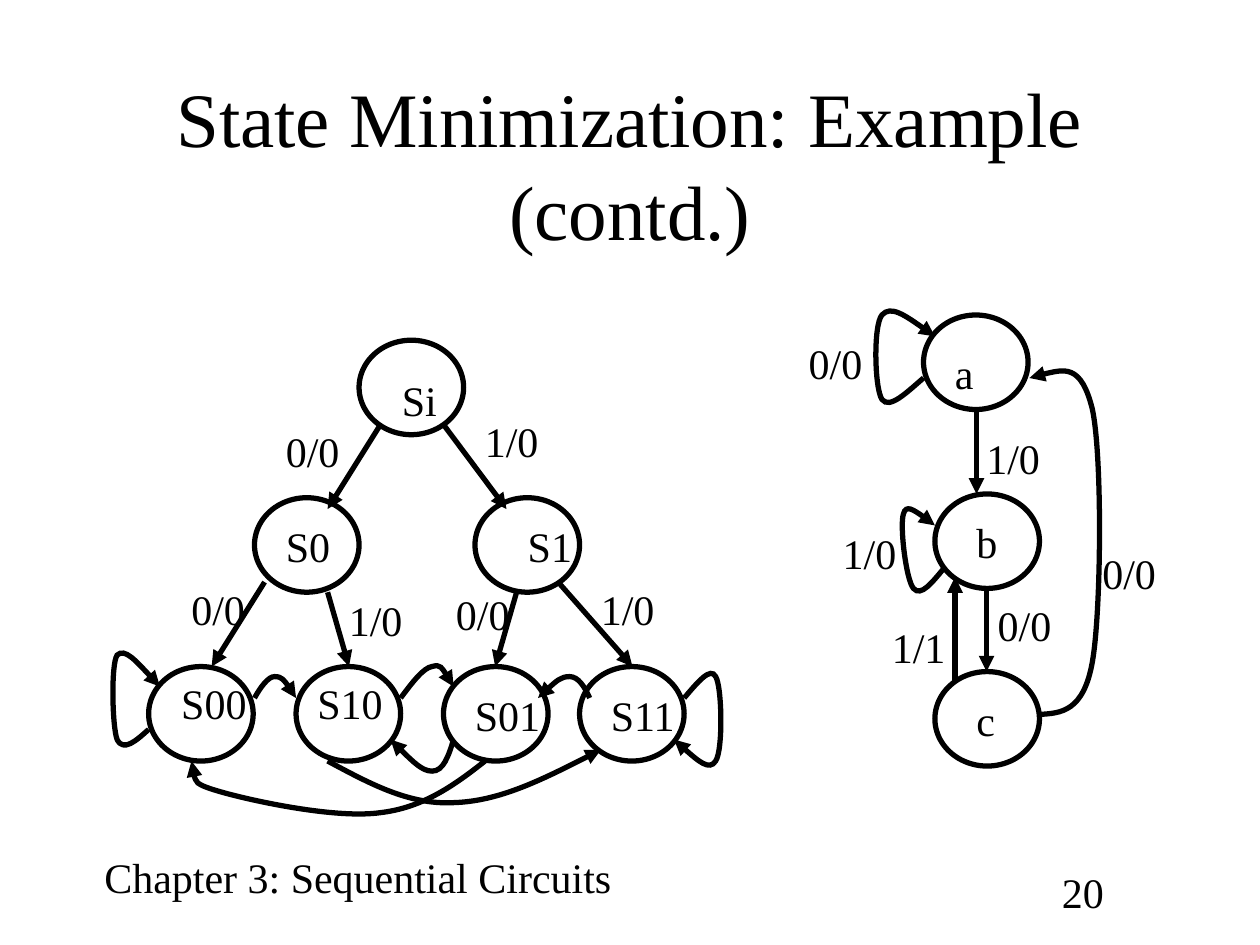
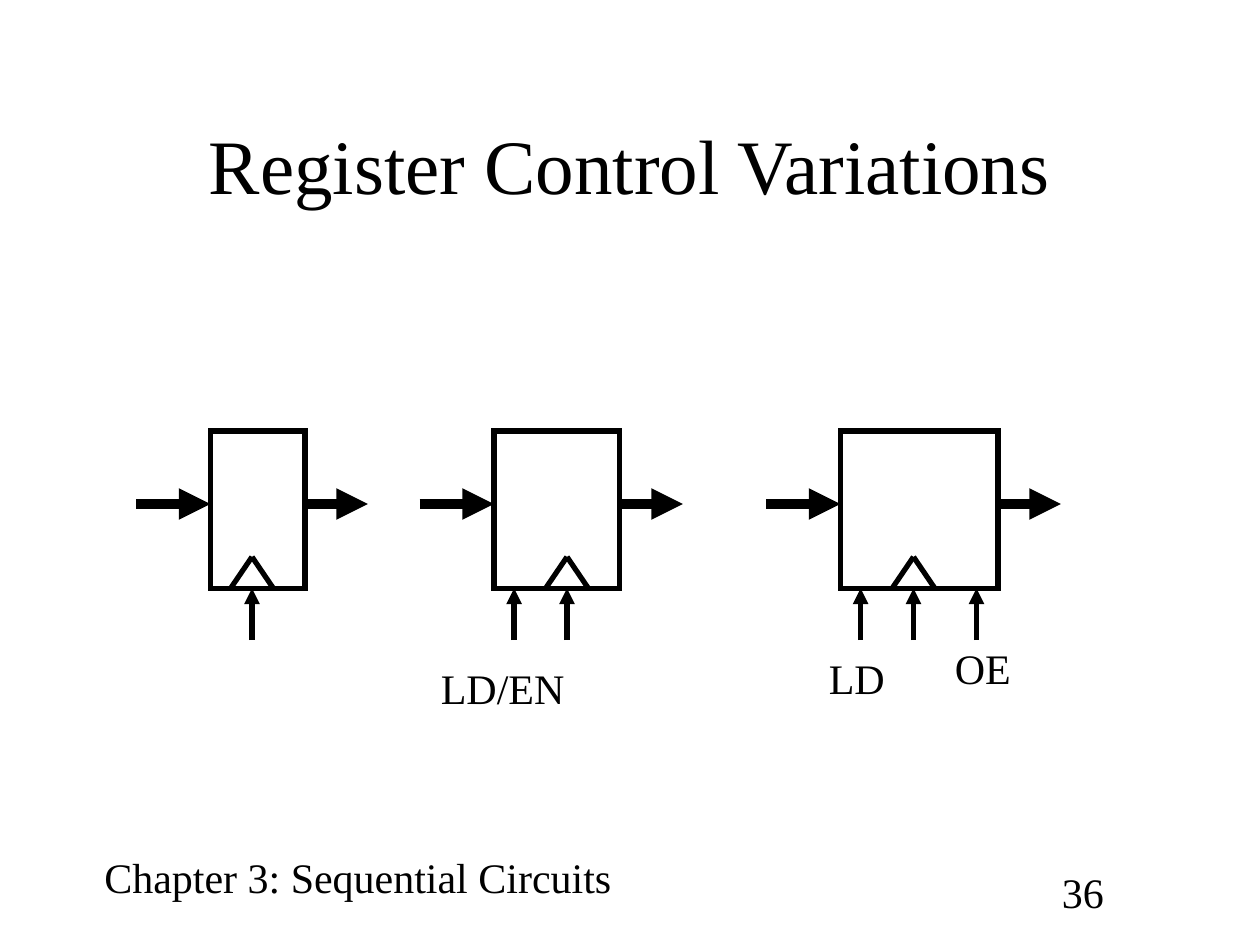
from dataclasses import dataclass
from lxml import etree
from pptx import Presentation
from pptx.dml.color import RGBColor
from pptx.enum import shapes, text
from pptx.oxml.ns import qn
from pptx.util import Pt

PX = 9144
WIDE, HIGH = 1000, 750


@dataclass(frozen=True)
class Theme:
    font: str = "Times New Roman"
    ink: RGBColor = RGBColor(0, 0, 0)
    paper: RGBColor = RGBColor(255, 255, 255)
    title: int = 44
    body: int = 24
    thin: int = 3
    thick: int = 6


THEME = Theme()
FOOTER = "Chapter 3: Sequential Circuits"
TITLES = {20: "State Minimization: Example (contd.)", 36: "Register Control Variations"}
WIDTHS = {"Si": 49, "S0": 56, "S1": 56, "a": 36, "b": 37, "c": 36,
          "LD/EN": 119, "OE": 66, "LD": 66}
WIDTHS |= dict.fromkeys(("S00", "S10", "S01", "S11"), 73)
WIDTHS |= dict.fromkeys(("0/0", "1/0", "1/1"), 64)

NODE = 83, 75
STATES = [
    ("Si", (285, 270), (309, 292)),
    ("S0", (202, 395), (217, 408)),
    ("S1", (377, 395), (409, 408)),
    ("S00", (118, 529), (134, 533)),
    ("S10", (235, 529), (242, 533)),
    ("S01", (352, 529), (367, 542)),
    ("S11", (460, 529), (475, 542)),
    ("a", (733, 250), (748, 271)),
    ("b", (742, 392), (765, 405)),
    ("c", (742, 533), (765, 546)),
]
STEPS = [
    ((302, 337), (260, 404)), ((352, 337), (402, 404)),
    ((210, 462), (168, 529)), ((260, 470), (277, 529)),
    ((410, 470), (393, 529)), ((443, 462), (502, 529)),
    ((775, 325), (775, 392)), ((783, 467), (783, 533)),
    ((758, 542), (758, 458)),
]
CURVES = [
    [(118, 579), (108, 588), (98, 597), (93, 587), (89, 577), (88, 527), (93, 520),
     (99, 514), (113, 530), (127, 545)],
    [(543, 554), (554, 541), (564, 529), (568, 537), (573, 545), (574, 595), (568, 604),
     (563, 612), (549, 600), (535, 587)],
    [(202, 554), (207, 545), (213, 537), (218, 537), (224, 537), (230, 545), (235, 554)],
    [(318, 554), (327, 542), (336, 530), (343, 529), (350, 527), (355, 536), (360, 545)],
    [(360, 587), (356, 600), (352, 612), (343, 612), (335, 612), (323, 600), (310, 587)],
    [(468, 554), (464, 545), (459, 537), (452, 537), (445, 537), (436, 545), (427, 554)],
    [(260, 604), (292, 621), (324, 639), (360, 637), (396, 636), (436, 616), (477, 595)],
    [(385, 604), (361, 623), (336, 641), (302, 645), (267, 650), (202, 636), (177, 629),
     (152, 622), (152, 613), (152, 604)],
    [(733, 300), (719, 312), (706, 325), (700, 317), (694, 308), (693, 258), (700, 250),
     (707, 242), (724, 254), (742, 267)],
    [(750, 450), (740, 462), (731, 474), (725, 467), (719, 460), (714, 417), (717, 408),
     (719, 400), (731, 408), (742, 417)],
    [(825, 567), (842, 566), (860, 565), (867, 525), (874, 485), (875, 363), (867, 325),
     (858, 288), (837, 294), (817, 300)],
]
EDGES = [
    ("0/0", 217, 333), ("1/0", 375, 325), ("0/0", 142, 458), ("1/0", 267, 467),
    ("0/0", 352, 462), ("1/0", 467, 458), ("0/0", 632, 263), ("1/0", 773, 338),
    ("0/0", 865, 430), ("0/0", 782, 471), ("1/1", 698, 488), ("1/0", 659, 414),
]

TOP, BASE, BUS = 342, 467, 400
REGS = [
    {"left": 167, "wide": 75, "clock": 33, "pins": []},
    {"left": 392, "wide": 100, "clock": 58, "pins": [16]},
    {"left": 667, "wide": 125, "clock": 58, "pins": [16, 108]},
]
PINS = [("LD/EN", 340, 521), ("OE", 748, 505), ("LD", 648, 513)]


def write(slide, words, x, y, wide, high=50, size=THEME.body, center=False, wrap=False):
    box = slide.shapes.add_textbox(x * PX, y * PX, wide * PX, high * PX)
    frame = box.text_frame
    frame.word_wrap = wrap
    frame.auto_size = text.MSO_AUTO_SIZE.NONE if wrap else text.MSO_AUTO_SIZE.SHAPE_TO_FIT_TEXT
    frame.vertical_anchor = text.MSO_ANCHOR.MIDDLE if center else text.MSO_ANCHOR.TOP
    para = frame.paragraphs[0]
    para.alignment = text.PP_ALIGN.CENTER if center else text.PP_ALIGN.LEFT
    run = para.add_run()
    run.text = words
    run.font.name, run.font.size = THEME.font, Pt(size)
    run.font.color.rgb = THEME.ink


def label(slide, words, x, y):
    write(slide, words, x, y, WIDTHS[words])


def stroke(shape, width=THEME.thin, arrow=False):
    shape.line.color.rgb = THEME.ink
    shape.line.width = Pt(width)
    line = shape.element.spPr.find(qn("a:ln"))
    etree.SubElement(line, qn("a:miter"), lim="800000")
    if arrow:
        etree.SubElement(line, qn("a:tailEnd"), type="triangle")


def hollow(shape, arrow=False):
    shape.shadow.inherit = False
    shape.fill.background()
    stroke(shape, arrow=arrow)


def outline(slide, kind, x, y, wide, high):
    hollow(slide.shapes.add_shape(kind, x * PX, y * PX, wide * PX, high * PX))


def link(slide, start, end, width=THEME.thin, arrow=True):
    ends = [v * PX for v in (*start, *end)]
    line = slide.shapes.add_connector(shapes.MSO_CONNECTOR.STRAIGHT, *ends)
    stroke(line, width, arrow)
    etree.SubElement(line.element.spPr, qn("a:effectLst"))


def blend(knots, t):
    s = 1 - t
    parts = s ** 3, 3 * s * s * t, 3 * s * t * t, t ** 3
    return tuple(round(sum(k * p for k, p in zip(axis, parts))) for axis in zip(*knots))


def curve(slide, points):
    points = [(x * PX, y * PX) for x, y in points]
    arcs = [points[i:i + 4] for i in range(0, len(points) - 1, 3)]
    trace = [blend(arc, n / 20) for arc in arcs for n in range(1, 21)]
    pen = slide.shapes.build_freeform(*points[0])
    pen.add_line_segments(trace, close=False)
    shape = pen.convert_to_shape()
    route = next(shape.element.iter(qn("a:path")))
    for step in route.findall(qn("a:lnTo")):
        route.remove(step)
    for arc in arcs:
        bend = etree.SubElement(route, qn("a:cubicBezTo"))
        for x, y in arc[1:]:
            etree.SubElement(bend, qn("a:pt"), x=str(x - shape.left), y=str(y - shape.top))
    hollow(shape, arrow=True)


def page(deck, number):
    slide = deck.slides.add_slide(deck.slide_layouts[6])
    slide.background.fill.solid()
    slide.background.fill.fore_color.rgb = THEME.paper
    write(slide, FOOTER, 73, 671, 447)
    write(slide, str(number), 833, 683, 92, wrap=True)
    write(slide, TITLES[number], 75, 67, 850, 125, THEME.title, center=True, wrap=True)
    return slide


def states(slide):
    for name, spot, mark in STATES:
        outline(slide, shapes.MSO_SHAPE.OVAL, *spot, *NODE)
        label(slide, name, *mark)
    for start, end in STEPS:
        link(slide, start, end)
    for points in CURVES:
        curve(slide, points)
    for edge in EDGES:
        label(slide, *edge)


def registers(slide):
    for reg in REGS:
        left, right = reg["left"], reg["left"] + reg["wide"]
        clock = left + reg["clock"]
        outline(slide, shapes.MSO_SHAPE.RECTANGLE, left, TOP, reg["wide"], BASE - TOP)
        for side in (-17, 17):
            link(slide, (clock + side, BASE), (clock, BASE - 25), arrow=False)
        for pin in (reg["clock"], *reg["pins"]):
            link(slide, (left + pin, BASE + 41), (left + pin, BASE))
        link(slide, (left - 59, BUS), (left, BUS), THEME.thick)
        link(slide, (right, BUS), (right + 50, BUS), THEME.thick)
    for pin in PINS:
        label(slide, *pin)


def main():
    deck = Presentation()
    deck.slide_width, deck.slide_height = WIDE * PX, HIGH * PX
    for number, draw in zip(TITLES, (states, registers)):
        draw(page(deck, number))
    deck.save("out.pptx")


if __name__ == "__main__":
    main()
